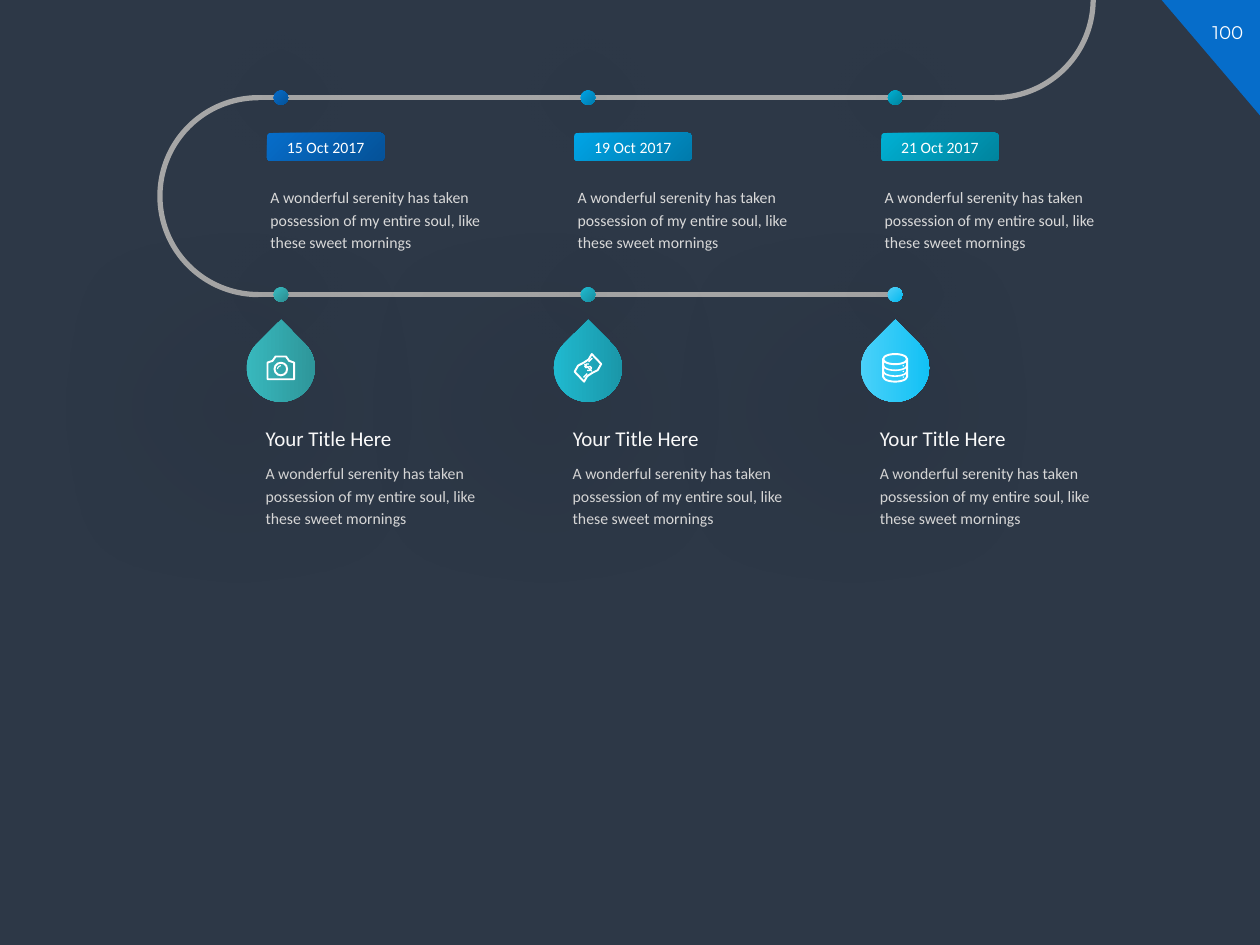
from dataclasses import dataclass

from lxml.etree import SubElement
from pptx import Presentation
from pptx.dml.color import RGBColor
from pptx.enum.shapes import MSO_CONNECTOR, MSO_SHAPE
from pptx.enum.text import MSO_ANCHOR, PP_ALIGN
from pptx.oxml.ns import qn
from pptx.util import Pt


@dataclass(frozen=True)
class Theme:
    background: str = "2D3847"
    corner: str = "066DCA"
    track: str = "A6A6A6"
    white: str = "FFFFFF"
    body: str = "D9D9D9"
    font: str = "Calibri"
    number_font: str = "Montserrat"
    body_size: float = 9
    title_size: float = 12
    number_size: float = 10.5


theme = Theme()
BODY = "A wonderful serenity has taken possession of my entire soul, like these sweet mornings"
TITLE = "Your Title Here"
EVENTS = [
    ("15 Oct 2017", ("066DCA", "055298")),
    ("19 Oct 2017", ("00A4E6", "007BAC")),
    ("21 Oct 2017", ("00B0D3", "00849E")),
]
DROP_COLORS = [("3ABFC4", "2C8F93"), ("21C0D7", "1990A1"), ("55D4FA", "07BEF4")]
COLUMN_X, COLUMN_STEP = 160.5, 175.5
UPPER_Y, LOWER_Y, DROP_Y = 55.8, 168.3, 210.2
DOT, DROP = 8.3, 38.9


def add_preset(shapes, kind, box, colors=(), line=None, shadow=None):
    """Add a preset shape; one colour fills it solid, two make a gradient, none leaves it open."""
    shape = shapes.add_shape(kind, *map(Pt, box))
    shape.shadow.inherit = False
    if len(colors) == 2:
        shape.fill.gradient()
        shape.fill.gradient_angle = 315
        for stop, color in zip(shape.fill.gradient_stops, colors):
            stop.color.rgb = RGBColor.from_string(color)
    elif colors:
        shape.fill.solid()
        shape.fill.fore_color.rgb = RGBColor.from_string(colors[0])
    else:
        shape.fill.background()
    if line:
        shape.line.color.rgb = RGBColor.from_string(line[0])
        shape.line.width = Pt(line[1])
    else:
        shape.line.fill.background()
    if shadow:
        blur, distance, direction = shadow
        outer = SubElement(
            shape.element.spPr.find(qn("a:effectLst")), qn("a:outerShdw"),
            blurRad=str(Pt(blur)), dist=str(Pt(distance)),
            dir=str(direction * 60000), algn="ctr", rotWithShape="0")
        color = SubElement(outer, qn("a:srgbClr"), val="000000")
        SubElement(color, qn("a:alpha"), val="40000")
    return shape


def write(shape, text, size, color, font=theme.font, align=PP_ALIGN.LEFT, spacing=None):
    shape.text_frame.word_wrap = True
    paragraph = shape.text_frame.paragraphs[0]
    paragraph.text = text
    paragraph.alignment = align
    paragraph.line_spacing = spacing
    paragraph.font.name = font
    paragraph.font.size = Pt(size)
    paragraph.font.color.rgb = RGBColor.from_string(color)


presentation = Presentation()
presentation.slide_width, presentation.slide_height = Pt(720), Pt(540)
slide = presentation.slides.add_slide(presentation.slide_layouts[6])
slide.background.fill.solid()
slide.background.fill.fore_color.rgb = RGBColor.from_string(theme.background)

# Corner with the page number
corner = add_preset(slide.shapes, MSO_SHAPE.RIGHT_TRIANGLE, (663.8, 0, 56.2, 66), (theme.corner,))
number = slide.shapes.add_textbox(Pt(683.3), Pt(8.6), Pt(36.7), Pt(20))
write(number, "100", theme.number_size, theme.white, theme.number_font, PP_ALIGN.CENTER)

# Winding track
track = slide.shapes.add_group_shape()
for end_x, y in ((515.5, LOWER_Y), (568.8, UPPER_Y)):
    line = track.shapes.add_connector(MSO_CONNECTOR.STRAIGHT, Pt(147.6), Pt(y), Pt(end_x), Pt(y))
    line.line.color.rgb = RGBColor.from_string(theme.track)
    line.line.width = Pt(3)
    SubElement(line.element.spPr, qn("a:effectLst"))
bend = LOWER_Y - UPPER_Y
left_bend = add_preset(track.shapes, MSO_SHAPE.ARC, (91.4, UPPER_Y, bend, bend), line=(theme.track, 3))
left_bend.adjustments[0], left_bend.adjustments[1] = 162, 54
right_bend = add_preset(track.shapes, MSO_SHAPE.ARC, (512.2, UPPER_Y - bend, bend, bend), line=(theme.track, 3))
right_bend.adjustments[0], right_bend.adjustments[1] = 162, 0
for shape, flips in ((corner, ("flipH", "flipV")), (left_bend, ("flipH",)), (right_bend, ("flipV",))):
    for flip in flips:
        shape.element.spPr.find(qn("a:xfrm")).set(flip, "1")

# Dots, dates, titles and descriptions in three columns
drops = []
for column, ((date, date_colors), drop_colors) in enumerate(zip(EVENTS, DROP_COLORS)):
    x = COLUMN_X + column * COLUMN_STEP
    for y, colors in ((UPPER_Y, date_colors), (LOWER_Y, drop_colors)):
        add_preset(slide.shapes, MSO_SHAPE.OVAL, (x - DOT / 2, y - DOT / 2, DOT, DOT), colors, shadow=(48, 0, 0))
    badge = add_preset(slide.shapes, MSO_SHAPE.ROUNDED_RECTANGLE, (x - 7.9, 76, 67, 16), date_colors)
    badge.adjustments[0] = 0.12
    badge.text_frame.vertical_anchor = MSO_ANCHOR.MIDDLE
    write(badge, date, theme.body_size, theme.white, align=PP_ALIGN.CENTER)
    for left, top, width, height, text, size, color, spacing in (
        (x - 13, 101.5, 149, 47, BODY, theme.body_size, theme.body, 1.2),
        (x - 15.8, 259.2, 144, 47, BODY, theme.body_size, theme.body, 1.2),
        (x - 15.8, 241.2, 109, 28, TITLE, theme.title_size, theme.white, 0.9),
    ):
        box = slide.shapes.add_textbox(Pt(left), Pt(top), Pt(width), Pt(height))
        write(box, text, size, color, spacing=spacing)
    group = slide.shapes.add_group_shape()
    drop = add_preset(group.shapes, MSO_SHAPE.TEAR, (x - DROP / 2, DROP_Y - DROP / 2, DROP, DROP),
                      drop_colors, shadow=(100, 34, 135))
    drop.rotation = 315.3
    drops.append(group)

# Icon outlines: drop, points around its centre, closed, line width
camera = [(-7.6, 6.5), (7.6, 6.5), (7.6, -3), (4.7, -4), (3, -6.5),
          (-3, -6.5), (-4.7, -4), (-7.6, -3)]
note_side = [(-2.2, 7.9), (-0.4, 4.8), (2.5, 2.9), (5.6, 1.3), (7.6, -2.2)]
note = note_side + [(-x, -y) for x, y in note_side]
dollar = [(0.5, -2.2), (-0.8, -2.2), (-1.8, -1), (-1.2, -0.1), (0, -0.4),
          (1.2, -0.8), (2, -0.1), (1.6, 0.9), (0.6, 1.5), (-0.4, 1.4)]
for column, points, closed, width in (
    (0, camera, True, 1.1),
    (1, note, True, 1.1),
    (1, dollar, False, 0.8),
    (1, [(-2, -2.2), (2.2, 2)], False, 0.7),
    (1, [(-2.5, 5.5), (-0.4, 3.4)], False, 0.8),
    (1, [(0.4, -3.4), (2.5, -5.5)], False, 0.8),
):
    center_x = COLUMN_X + column * COLUMN_STEP
    corners = [(Pt(center_x + x), Pt(DROP_Y + y)) for x, y in points]
    builder = drops[column].shapes.build_freeform(*corners[0])
    builder.add_line_segments(corners[1:], close=closed)
    outline = builder.convert_to_shape()
    outline.shadow.inherit = False
    outline.fill.background()
    outline.line.color.rgb = RGBColor.from_string(theme.white)
    outline.line.width = Pt(width)

# Lens of the camera
lens_y = DROP_Y + 0.7
add_preset(drops[0].shapes, MSO_SHAPE.OVAL, (COLUMN_X - 3.6, lens_y - 3.6, 7.2, 7.2), line=(theme.white, 1.1))
glint = add_preset(drops[0].shapes, MSO_SHAPE.ARC, (COLUMN_X - 1.9, lens_y - 1.9, 3.8, 3.8),
                   line=(theme.white, 0.6))
glint.adjustments[0], glint.adjustments[1] = 108, 162

# Stack of coins
stack_x = COLUMN_X + 2 * COLUMN_STEP
stack = add_preset(drops[2].shapes, MSO_SHAPE.CAN, (stack_x - 6.9, DROP_Y - 7.9, 13.8, 15.8), line=(theme.white, 1.1))
stack.adjustments[0] = 0.42
for rim_bottom in (1.4, 4.7):
    rim = add_preset(drops[2].shapes, MSO_SHAPE.ARC, (stack_x - 6.9, DROP_Y + rim_bottom - 5.8, 13.8, 5.8),
                     line=(theme.white, 0.9))
    rim.adjustments[0], rim.adjustments[1] = 0, 108
for mark in range(3):
    add_preset(drops[2].shapes, MSO_SHAPE.OVAL, (stack_x + 4.3, DROP_Y - 1.5 + 3.2 * mark, 0.8, 0.8), (theme.white,))

presentation.save("out.pptx")
